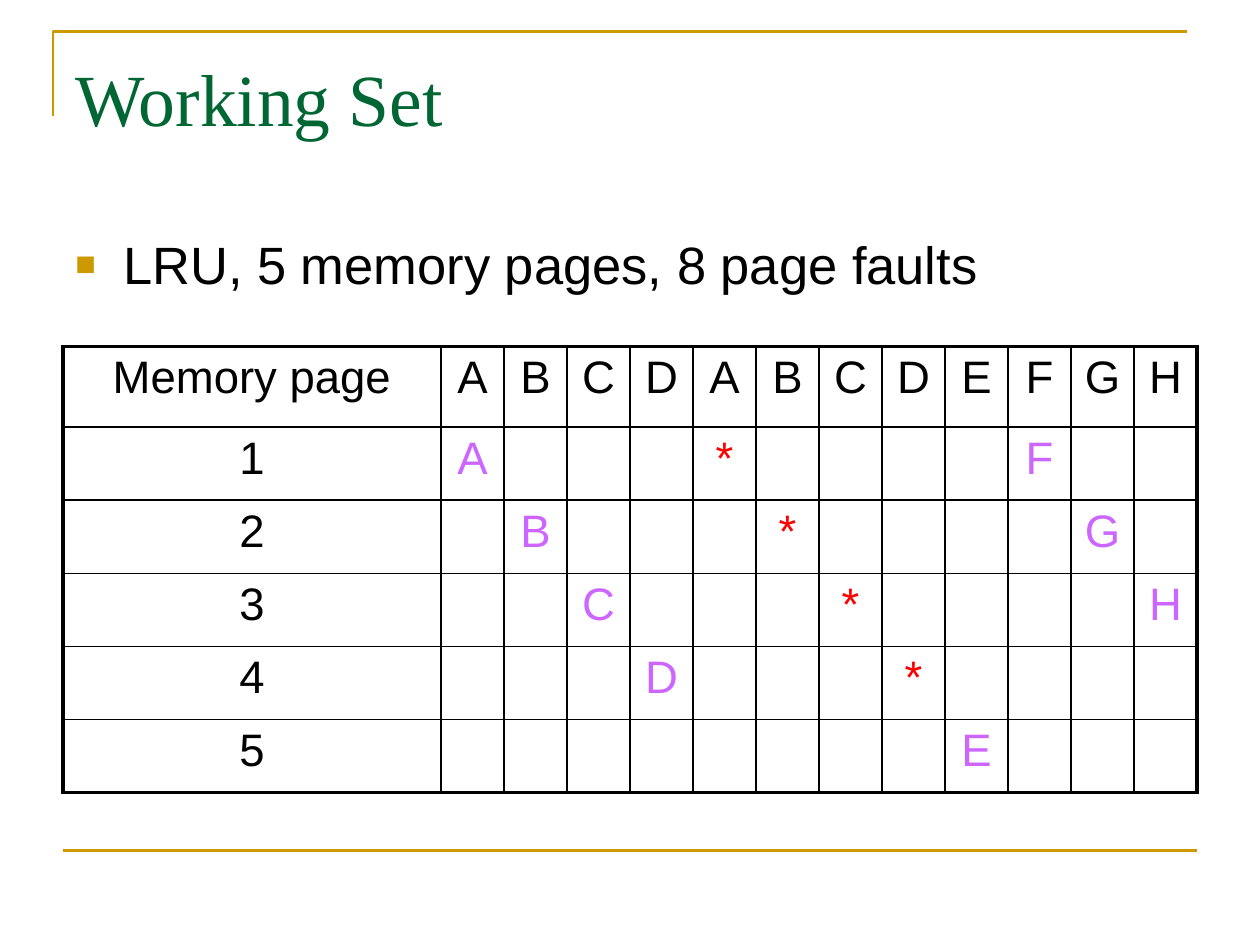
from lxml.etree import SubElement
from pptx import Presentation
from pptx.dml.color import RGBColor
from pptx.enum.shapes import MSO_CONNECTOR
from pptx.enum.text import PP_ALIGN
from pptx.oxml.ns import qn
from pptx.util import Inches, Pt

COLORS = {
    "gold": "CC9900",
    "title": "006633",
    "text": "000000",
    "fault": "CC66FF",
    "hit": "FF0000",
}
REFERENCES = "ABCDABCDEFGH"
FRAMES = 5
LOADS = [(1, 1, "A"), (2, 2, "B"), (3, 3, "C"), (4, 4, "D"),
         (5, 9, "E"), (1, 10, "F"), (2, 11, "G"), (3, 12, "H")]
HITS = [(frame, frame + 4, "*") for frame in range(1, 5)]


def color(name):
    return RGBColor.from_string(COLORS[name])


def write(paragraph, words, size, ink="text", face="Arial"):
    paragraph.text = words
    font = paragraph.runs[0].font
    for name, value in {"size": Pt(size), "name": face}.items():
        setattr(font, name, value)
    font.color.rgb = color(ink)


def add_words(slide, box, inset, words, **style):
    frame = slide.shapes.add_textbox(*map(Inches, box)).text_frame
    frame.word_wrap = True
    frame.margin_top = Inches(inset)
    paragraph = frame.paragraphs[0]
    write(paragraph, words, **style)
    return paragraph


def add_bullet(paragraph, indent):
    props = paragraph._p.get_or_add_pPr()
    props.set("marL", str(Inches(indent)))
    props.set("indent", str(-Inches(indent)))
    tint = SubElement(props, qn("a:buClr"))
    SubElement(tint, qn("a:srgbClr"), val=COLORS["gold"])
    SubElement(props, qn("a:buSzPct"), val="65000")
    SubElement(props, qn("a:buFont"), typeface="Arial")
    SubElement(props, qn("a:buChar"), char="■")


def style_rule(rule):
    rule.line.color.rgb = color("gold")
    rule.line.width = Pt(1.5)


def add_corner(slide):
    builder = slide.shapes.build_freeform(Inches(0.42), Inches(0.92))
    builder.add_line_segments(
        [(Inches(0.42), Inches(0.25)), (Inches(9.42), Inches(0.25))], close=False)
    corner = builder.convert_to_shape()
    corner.fill.background()
    corner.shadow.inherit = False
    style_rule(corner)


def add_footer_rule(slide):
    ends = map(Inches, (0.5, 6.75, 9.5, 6.75))
    rule = slide.shapes.add_connector(MSO_CONNECTOR.STRAIGHT, *ends)
    style_rule(rule)
    SubElement(rule._element.spPr, qn("a:effectLst"))


def set_borders(cell, outer_sides):
    props = cell._tc.get_or_add_tcPr()
    for side in "LRTB":
        width = Pt(2.25 if side in outer_sides else 1)
        border = SubElement(props, qn(f"a:ln{side}"), w=str(width))
        fill = SubElement(border, qn("a:solidFill"))
        SubElement(fill, qn("a:srgbClr"), val=COLORS["text"])


def fill_cell(table, row, column, words, ink="text"):
    paragraph = table.cell(row, column).text_frame.paragraphs[0]
    paragraph.alignment = PP_ALIGN.CENTER
    write(paragraph, words, 26, ink)


def add_memory_table(slide):
    rows, columns = FRAMES + 1, len(REFERENCES) + 1
    box = map(Inches, (0.5, 2.75, 9, 3.56))
    table = slide.shapes.add_table(rows, columns, *box).table
    table.first_row = table.horz_banding = False
    for index, column in enumerate(table.columns):
        column.width = Inches(0.5 if index else 3)
    for index, row in enumerate(table.rows):
        row.height = Inches(0.58 if index else 0.64)
    for row in range(rows):
        for column in range(columns):
            edges = {"L": column == 0, "R": column == columns - 1,
                     "T": row == 0, "B": row == rows - 1}
            cell = table.cell(row, column)
            set_borders(cell, [side for side, outer in edges.items() if outer])
            cell.fill.background()
    fill_cell(table, 0, 0, "Memory page")
    for column, page in enumerate(REFERENCES, 1):
        fill_cell(table, 0, column, page)
    for frame in range(1, rows):
        fill_cell(table, frame, 0, str(frame))
    for ink, marks in {"fault": LOADS, "hit": HITS}.items():
        for frame, column, mark in marks:
            fill_cell(table, frame, column, mark, ink)


def main():
    deck = Presentation()
    deck.slide_width, deck.slide_height = Inches(10), Inches(7.5)
    slide = deck.slides.add_slide(deck.slide_layouts[6])
    add_corner(slide)
    add_footer_rule(slide)
    add_words(slide, (0.5, 0.3, 9, 1.25), 0.12, "Working Set",
              size=42, ink="title", face="Times New Roman")
    add_memory_table(slide)
    summary = add_words(slide, (0.5, 1.75, 9, 4.95), 0.09,
                        "LRU, 5 memory pages, 8 page faults", size=30)
    add_bullet(summary, 0.38)
    deck.save("out.pptx")


if __name__ == "__main__":
    main()
